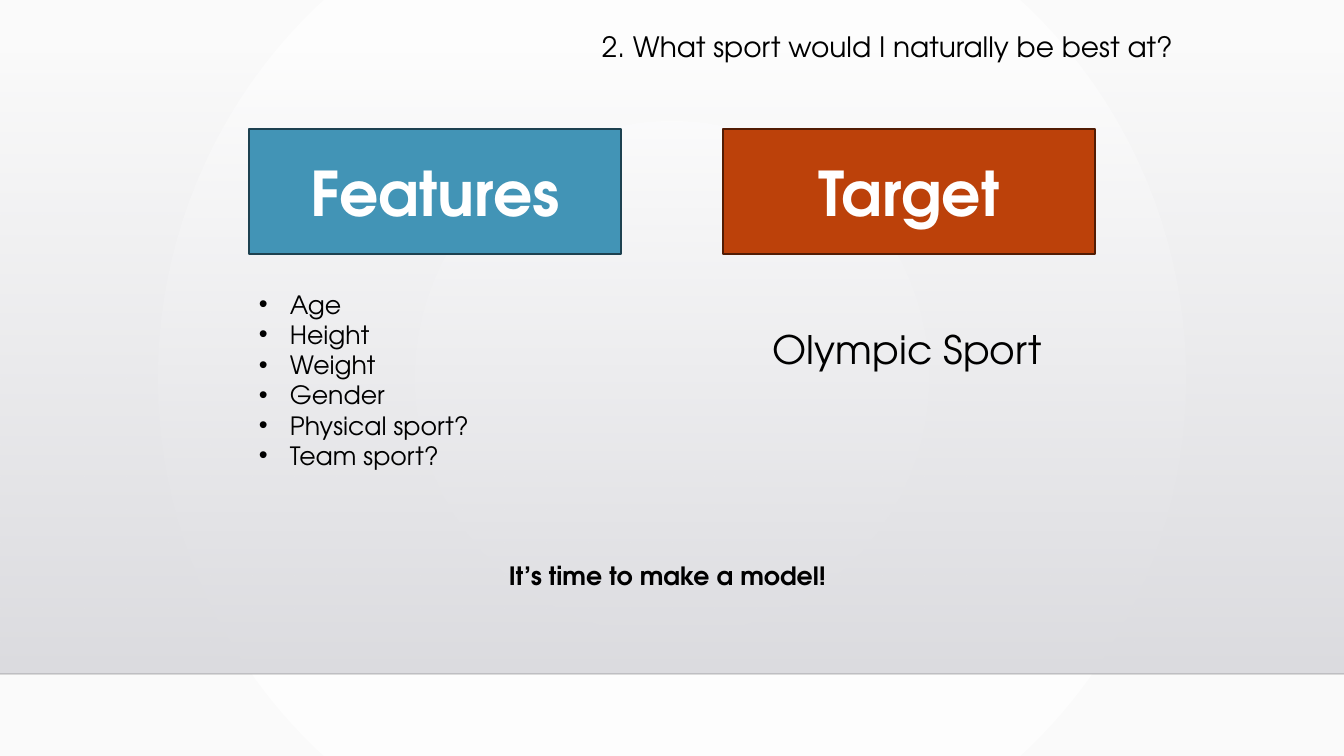
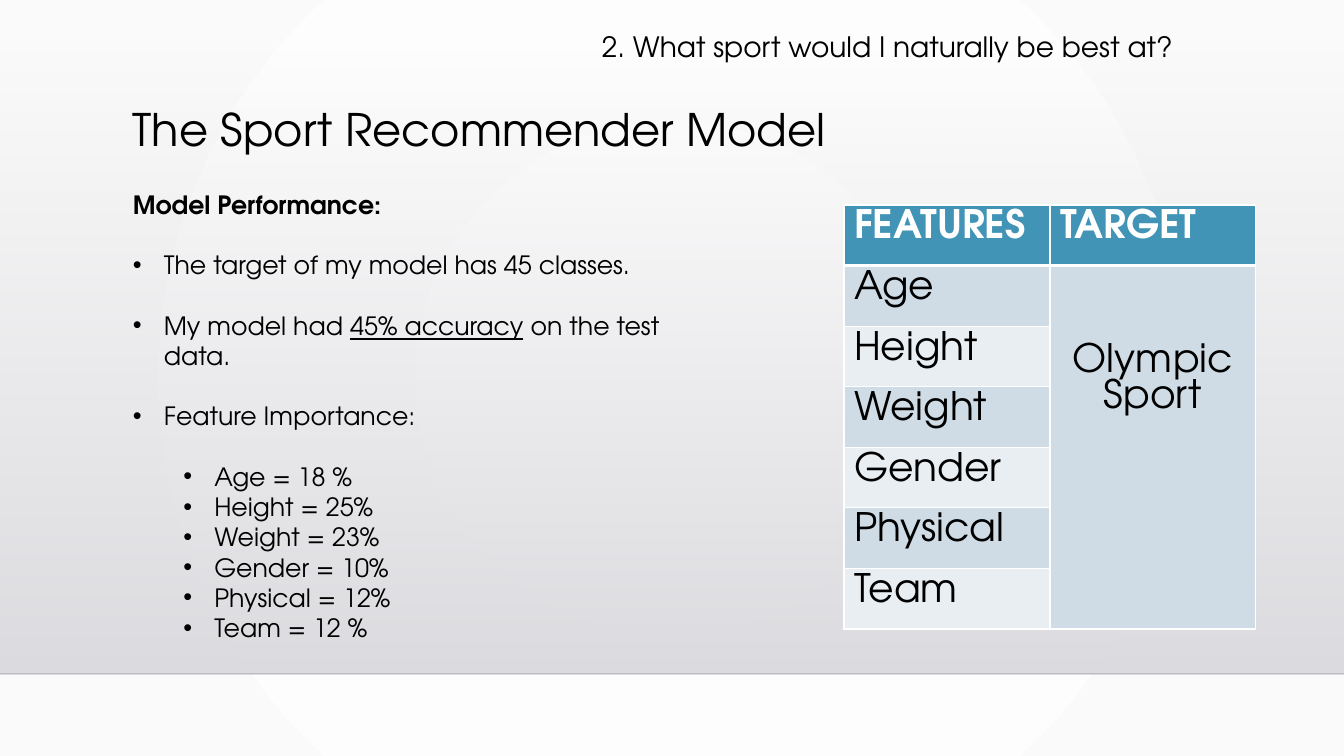
import pptx
import pptx.dml.color
import pptx.enum.shapes
import pptx.enum.text
import pptx.oxml.ns
import pptx.util
import lxml.etree

BLACK = pptx.dml.color.RGBColor(0x00, 0x00, 0x00)
WHITE = pptx.dml.color.RGBColor(0xFF, 0xFF, 0xFF)
PAPER = pptx.dml.color.RGBColor(0xFA, 0xFA, 0xFA)
MIST = pptx.dml.color.RGBColor(0xDC, 0xDC, 0xE0)
GREY = pptx.dml.color.RGBColor(0xDE, 0xDE, 0xE2)
RULE = pptx.dml.color.RGBColor(0x00, 0x00, 0x01)
BLUE = pptx.dml.color.RGBColor(0x42, 0x94, 0xB6)
NAVY = pptx.dml.color.RGBColor(0x1D, 0x41, 0x50)
RUST = pptx.dml.color.RGBColor(0xBC, 0x41, 0x0A)
BROWN = pptx.dml.color.RGBColor(0x52, 0x1C, 0x04)
DARK = pptx.dml.color.RGBColor(0xCF, 0xDC, 0xE5)
LIGHT = pptx.dml.color.RGBColor(0xE9, 0xEE, 0xF3)
FONT = "TeX Gyre Adventor"
PX = 914400 / 100.8
INDENT = round(31 * PX)
CENTER = pptx.enum.text.PP_ALIGN.CENTER
RECT = pptx.enum.shapes.MSO_SHAPE.RECTANGLE
qn = pptx.oxml.ns.qn
sub = lxml.etree.SubElement


def style(frame, size, color=BLACK, bold=False):
    for para in frame.paragraphs:
        for run in para.runs:
            run.font.name = FONT
            run.font.size = pptx.util.Pt(size)
            run.font.bold = bold
            run.font.color.rgb = color


def write(slide, spot, lines, size, bold=False, levels=()):
    box = slide.shapes.add_textbox(*[round(n * PX) for n in spot])
    frame = box.text_frame
    frame.word_wrap = True
    frame.text = "\n".join(lines)
    for para, level in zip(frame.paragraphs, levels):
        if level is None:
            continue
        para.level = level
        props = para._p.get_or_add_pPr()
        props.set("marL", str(INDENT + level * pptx.util.Inches(0.5)))
        props.set("indent", str(-INDENT))
        sub(props, qn("a:buFont"), typeface="Arial")
        sub(props, qn("a:buChar"), char="•")
    style(frame, size, BLACK, bold)
    return frame


deck = pptx.Presentation()
deck.slide_width = round(1344 * PX)
deck.slide_height = round(756 * PX)

back = deck.slide_master.background.fill
back.gradient()
for stop, color in zip(back.gradient_stops, (WHITE, PAPER)):
    stop.color.rgb = color
grad = deck.slide_master.element.find(".//" + qn("a:gradFill"))
grad.remove(grad.find(qn("a:lin")))
ring = sub(grad, qn("a:path"), path="circle")
sub(ring, qn("a:fillToRect"), l="50000", t="50000", r="50000", b="50000")

slides = [deck.slides.add_slide(deck.slide_layouts[6]) for _ in range(2)]
for slide in slides:
    band = slide.shapes.add_shape(RECT, 0, round(51 * PX), deck.slide_width, round(623 * PX))
    band.shadow.inherit = False
    band.line.fill.background()
    band.fill.gradient()
    band.fill.gradient_angle = 270
    for stop, color in zip(band.fill.gradient_stops, (MIST, GREY)):
        stop.color.rgb = color
    sub(band._element.find(".//" + qn("a:srgbClr")), qn("a:alpha"), val="0")

    rule = slide.shapes.add_connector(
        pptx.enum.shapes.MSO_CONNECTOR.STRAIGHT,
        0, round(674 * PX), deck.slide_width, round(674 * PX))
    rule.line.color.rgb = RULE
    rule.line.width = pptx.util.Pt(1)
    sub(rule._element.find(".//" + qn("a:srgbClr")), qn("a:alpha"), val="20000")
    sub(rule._element.spPr, qn("a:effectLst"))

    head = write(slide, (592, 28, 624, 72), ["2. What sport would I naturally be best at?"], 20)
    head.paragraphs[0].line_spacing = 0.9

first, last = slides

for left, label, fill, edge in ((249, "Features", BLUE, NAVY), (723, "Target", RUST, BROWN)):
    card = first.shapes.add_shape(RECT, *[round(n * PX) for n in (left, 129, 372, 125)])
    card.shadow.inherit = False
    card.fill.solid()
    card.fill.fore_color.rgb = fill
    card.line.color.rgb = edge
    card.line.width = pptx.util.Pt(1.25)
    card.text_frame.text = label
    card.text_frame.vertical_anchor = pptx.enum.text.MSO_ANCHOR.MIDDLE
    card.text_frame.paragraphs[0].alignment = CENTER
    style(card.text_frame, 44, WHITE, True)

traits = ["Age", "Height", "Weight", "Gender", "Physical sport?", "Team sport?"]
write(first, (249, 284, 372, 194), traits, 18, levels=[0] * len(traits))
write(first, (499, 555, 345, 41), ["It’s time to make a model!"], 18, True)
write(first, (763, 320, 290, 57), ["Olympic Sport"], 28).word_wrap = False

title = write(last, (123, 103, 1058, 72), ["The Sport Recommender Model"], 32)
title.paragraphs[0].line_spacing = 0.9

lines = [
    "Model Performance:",
    "The target of my model has 45 classes.",
    "My model had ",
    "Feature Importance:",
    "Age = 18 %",
    "Height = 25%",
    "Weight = 23%",
    "Gender = 10%",
    "Physical = 12%",
    "Team = 12 %",
]
body = write(last, (123, 184, 611, 468), lines, 18, levels=[None, 0, 0, 0] + [1] * 6)
for part in ("45% accuracy", " on the test data."):
    body.paragraphs[2].add_run().text = part
style(body, 18)
body.paragraphs[2].runs[1].font.underline = True
body.paragraphs[0].runs[0].font.bold = True
for para in body.paragraphs[1:5]:
    para.space_before = pptx.util.Pt(21.6)

rows = [("FEATURES", "TARGET"), ("Age", "Olympic Sport"), ("Height", ""),
        ("Weight", ""), ("Gender", ""), ("Physical", ""), ("Team", "")]
table = last.shapes.add_table(
    len(rows), 2, *[round(n * PX) for n in (844, 205, 412, 424)]).table
table.cell(1, 1).merge(table.cell(6, 1))
for r, row in enumerate(rows):
    for c, text in enumerate(row):
        cell = table.cell(r, c)
        props = cell._tc.get_or_add_tcPr()
        for side in "LRTB":
            thick = (r, side) in ((0, "B"), (1, "T"))
            edge = sub(props, qn("a:ln" + side), w=str(pptx.util.Pt(3 if thick else 1)))
            sub(sub(edge, qn("a:solidFill")), qn("a:srgbClr"), val=str(WHITE))
        cell.fill.solid()
        cell.fill.fore_color.rgb = BLUE if r == 0 else DARK if r % 2 or c else LIGHT
        if text:
            cell.text_frame.text = text
            style(cell.text_frame, 28, BLACK if r else WHITE, r == 0)
sport = table.cell(1, 1)
sport.margin_top = round(78 * PX)
sport.text_frame.paragraphs[0].alignment = CENTER

deck.save("out.pptx")
